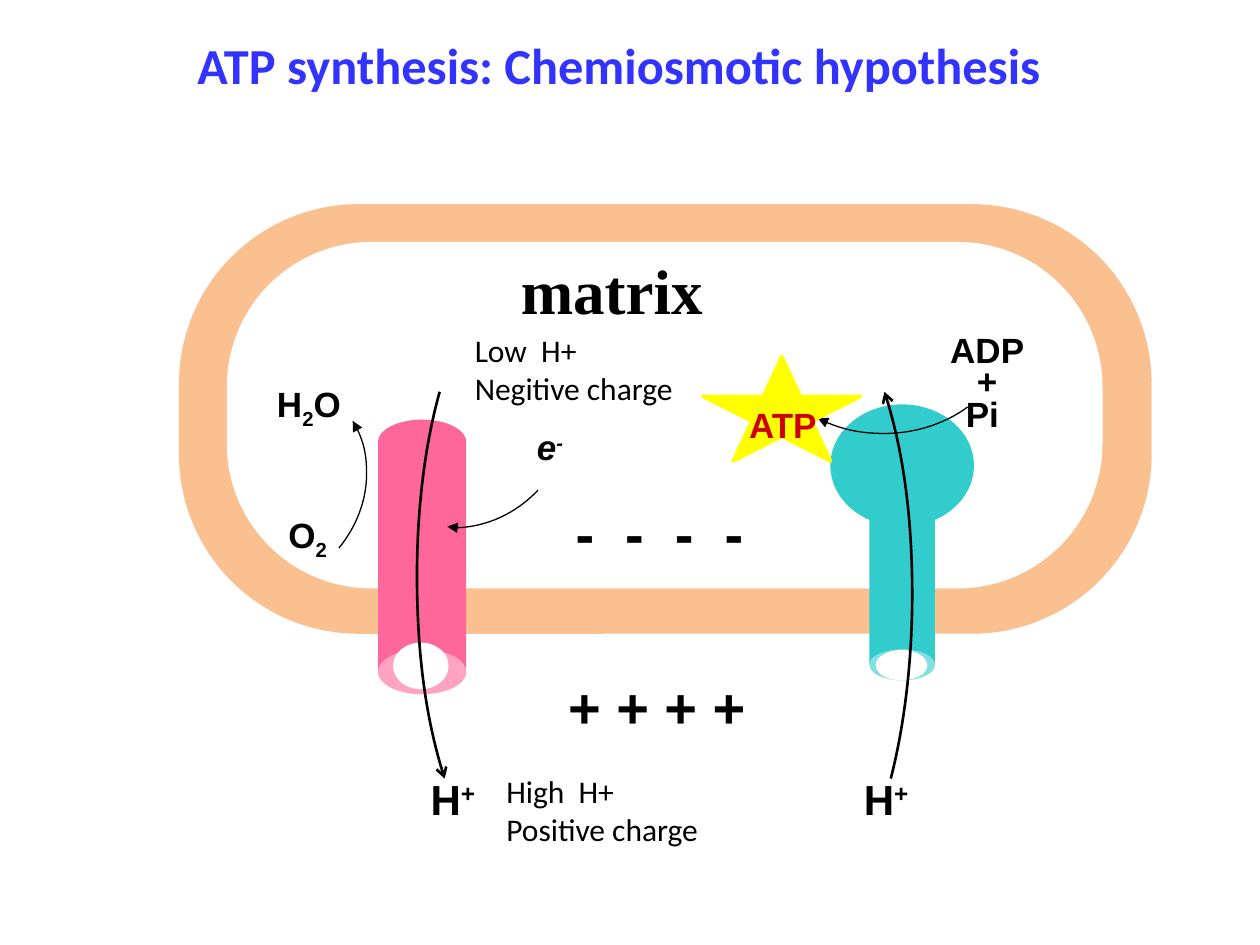
from copy import deepcopy

from lxml import etree
from pptx import Presentation
from pptx.dml.color import RGBColor
from pptx.enum.shapes import MSO_SHAPE
from pptx.enum.text import PP_ALIGN
from pptx.oxml.ns import qn
from pptx.util import Inches, Pt

ROUND_RECT, CAN = MSO_SHAPE.ROUNDED_RECTANGLE, MSO_SHAPE.CAN
OVAL, STAR = MSO_SHAPE.OVAL, MSO_SHAPE.STAR_5_POINT
LEFT, CENTER = PP_ALIGN.LEFT, PP_ALIGN.CENTER

THEME = {
    "membrane": "FAC090", "white": "FFFFFF", "pink": "FF6699", "teal": "33CCCC",
    "yellow": "FFFF00", "black": "000000", "red": "CC0000", "blue": "3333FF",
    "title": 28.8, "matrix": 36, "charge": 32, "proton": 24, "molecule": 20, "note": 18,
}


def color(name):
    return RGBColor.from_string(THEME[name])


def add_part(slide, kind, box, fill, rotation=0, adjustment=None, outline=None):
    part = slide.shapes.add_shape(kind, *map(Inches, box))
    part.shadow.inherit = False
    part.rotation = rotation
    part.fill.solid()
    part.fill.fore_color.rgb = color(fill)
    if adjustment is not None:
        part.adjustments[0] = adjustment
    if outline:
        part.line.color.rgb = color(fill)
        part.line.width = Pt(outline)
    else:
        part.line.fill.background()


prs = Presentation()
prs.slide_width, prs.slide_height = Inches(10), Inches(7.5)
slide = prs.slides.add_slide(prs.slide_layouts[6])

cell_parts = [
    (ROUND_RECT, (1.42, 1.62, 7.72, 3.41), "membrane", 0, 0.418),
    (ROUND_RECT, (1.8, 1.92, 6.95, 2.75), "white", 0, 0.418),
    (CAN, (3, 3.33, 0.7, 2.18), "pink", 180, 0.507),
    (OVAL, (3.12, 5.1, 0.44, 0.37), "white"),
    (OVAL, (6.59, 3.21, 1.14, 0.97), "teal"),
    (CAN, (6.9, 3.94, 0.52, 1.46), "teal", 180, 0.471),
    (OVAL, (6.95, 5.16, 0.41, 0.24), "white"),
]
for cell_part in cell_parts:
    add_part(slide, *cell_part)

flows = [
    ([(7.02, 3.11), (7.17, 3.57), (7.24, 4.14), (7.24, 4.72),
      (7.24, 5.24), (7.18, 5.75), (7.07, 6.18)], (6.14, 4.72), "headEnd", "arrow", 1.5),
    ([(2.8, 3.34), (2.88, 3.47), (2.91, 3.61), (2.91, 3.76),
      (2.91, 3.97), (2.83, 4.18), (2.69, 4.35)], (1.81, 3.76), "headEnd", "triangle", 0.75),
    ([(3.53, 6.18), (3.38, 5.72), (3.31, 5.15), (3.31, 4.57),
      (3.31, 4.05), (3.37, 3.54), (3.49, 3.11)], (4.41, 4.57), "headEnd", "arrow", 1.5),
    ([(4.27, 3.89), (4.09, 4.08), (3.84, 4.19), (3.59, 4.19),
      (3.57, 4.19), (3.56, 4.18), (3.55, 4.18)], (3.59, 3.11), "tailEnd", "triangle", 0.75),
    ([(7.68, 3.23), (7.49, 3.37), (7.25, 3.44), (7.02, 3.44),
      (6.83, 3.44), (6.65, 3.4), (6.49, 3.32)], (7.02, 2.45), "tailEnd", "triangle", 0.75),
]
for controls, hub, arrow_end, arrow_type, width in flows:
    builder = slide.shapes.build_freeform(*map(Inches, controls[0]))
    builder.add_line_segments(
        [tuple(map(Inches, point)) for point in controls[1:] + [hub]], close=False)
    flow = builder.convert_to_shape()
    flow.shadow.inherit = False
    flow.fill.background()
    flow.line.color.rgb = color("black")
    flow.line.width = Pt(width)
    outline = flow._element.spPr.find(qn("a:ln"))
    etree.SubElement(outline, qn("a:" + arrow_end), type=arrow_type)

    arc = next(flow._element.iter(qn("a:path")))
    *handles, spoke = arc.findall(qn("a:lnTo"))
    for first in (0, 3):
        bend = etree.Element(qn("a:cubicBezTo"))
        spoke.addprevious(bend)
        for handle in handles[first:first + 3]:
            bend.append(handle[0])
            arc.remove(handle)
    sector = deepcopy(arc)
    sector.set("stroke", "0")
    etree.SubElement(sector, qn("a:close"))
    arc.addnext(sector)
    arc.remove(spoke)
    arc.set("fill", "none")

add_part(slide, STAR, (5.58, 2.83, 1.25, 0.83), "yellow", outline=2)

BOLD = {"name": "Arial", "bold": True}
ITALIC = BOLD | {"italic": True}
SERIF = BOLD | {"name": "Times New Roman"}
NOTE = {"name": "Calibri", "bold": False}
TITLE = {"name": "Calibri", "bold": True}

labels = [
    ((4.03, 1.95, 1.65, 0.7), [[("matrix", 0)]], SERIF, "matrix", "black", CENTER, True),
    ((4.4, 5.29, 1.75, 0.64), [[("+ + + + ", 0)]], BOLD, "charge", "black", CENTER, True),
    ((4.41, 3.91, 1.65, 0.63), [[("-  -  -  - ", 0)]], BOLD, "charge", "black", CENTER, True),
    ((6.74, 6.09, 0.64, 0.5), [[("H", 0), ("+ ", 30)]], BOLD, "proton", "black", CENTER, False),
    ((3.31, 6.09, 0.57, 0.5), [[("H", 0), ("+", 30)]], BOLD, "proton", "black", CENTER, False),
    ((2.18, 4.03, 0.57, 0.44), [[("O", 0), ("2 ", -25)]], BOLD, "molecule", "black", CENTER, False),
    ((2.09, 2.99, 0.8, 0.44), [[("H", 0), ("2", -25), ("O ", 0)]],
     BOLD, "molecule", "black", CENTER, False),
    ((4.15, 3.33, 0.52, 0.43), [[("e", 0), ("-  ", 30)]], ITALIC, "molecule", "black", CENTER, False),
    ((7.44, 2.56, 0.79, 0.93), [[("ADP", 0)], [("+", 0)], [("Pi ", 0)]],
     BOLD, "molecule", "black", CENTER, False, (1, 0.7, 0.8)),
    ((3.92, 6.08, 3.17, 0.7), [[("High  H+", 0)], [("Positive charge", 0)]],
     NOTE, "note", "black", LEFT, True),
    ((3.67, 2.58, 3.17, 0.7), [[("Low  H+", 0)], [("Negitive charge", 0)]],
     NOTE, "note", "black", LEFT, True),
    ((5.83, 3.15, 0.84, 0.44), [[("ATP ", 0)]], BOLD, "molecule", "red", CENTER, True),
    ((0, 0.22, 9.83, 0.83), [[("ATP synthesis: Chemiosmotic hypothesis", 0)]],
     TITLE, "title", "blue", CENTER, True),
]
for box, lines, face, size, ink, alignment, wrap, *spacings in labels:
    frame = slide.shapes.add_textbox(*map(Inches, box)).text_frame
    frame.word_wrap = wrap
    for index, pieces in enumerate(lines):
        line = frame.add_paragraph() if index else frame.paragraphs[0]
        line.alignment = alignment
        if spacings:
            line.line_spacing = spacings[0][index]
        for text, baseline in pieces:
            run = line.add_run()
            run.text = text
            for attribute, value in (face | {"size": Pt(THEME[size])}).items():
                setattr(run.font, attribute, value)
            run.font.color.rgb = color(ink)
            if baseline:
                run._r.get_or_add_rPr().set("baseline", str(baseline * 1000))

prs.save("out.pptx")
